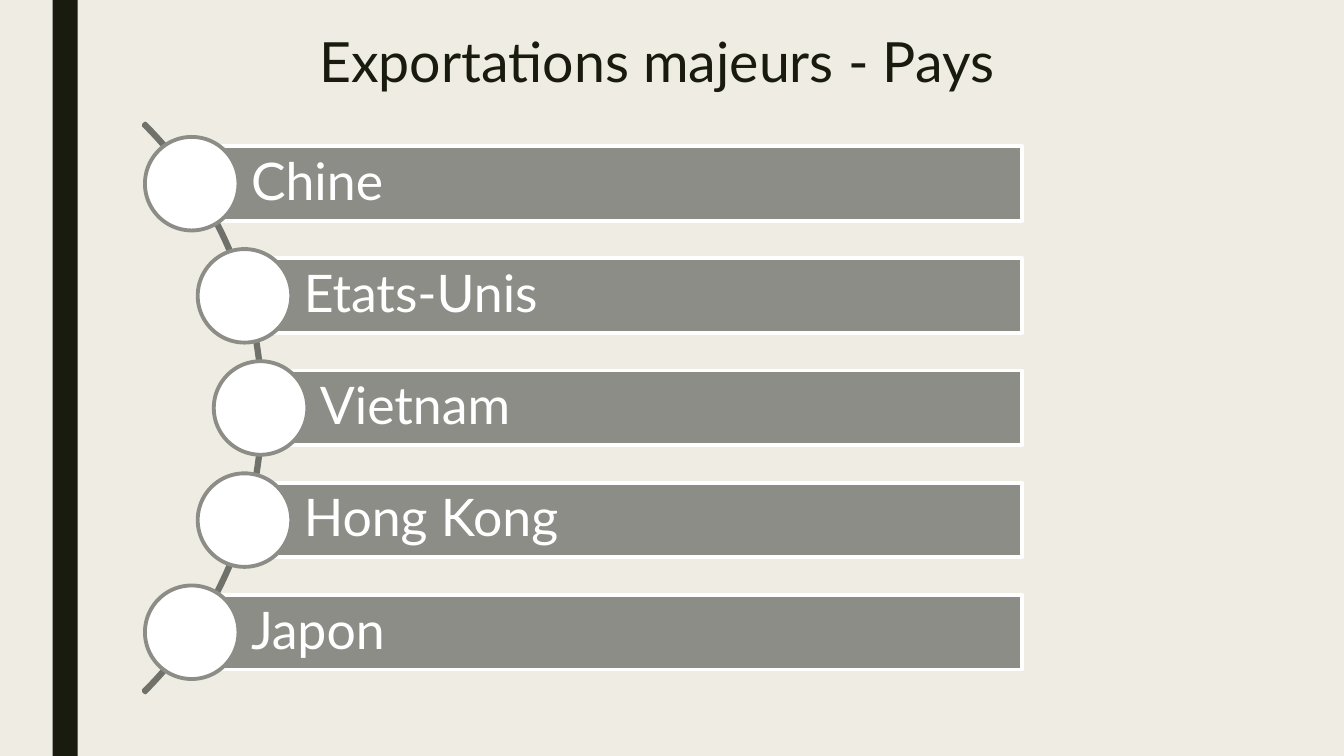
import math

import pptx
import pptx.dml.color
import pptx.enum.shapes
import pptx.enum.text
import pptx.util

Pt = pptx.util.Pt
RGBColor = pptx.dml.color.RGBColor
SHAPE = pptx.enum.shapes.MSO_SHAPE
ANCHOR = pptx.enum.text.MSO_ANCHOR
ALIGN = pptx.enum.text.PP_ALIGN

TITLE = "Exportations majeurs - Pays"
COUNTRIES = ["Chine", "Etats-Unis", "Vietnam", "Hong Kong", "Japon"]

FONT = "Lato"
CREAM = RGBColor(0xEF, 0xED, 0xE3)
DARK = RGBColor(0x19, 0x1B, 0x0E)
ARC_GREY = RGBColor(0x70, 0x71, 0x6B)
BAR_GREY = RGBColor(0x8C, 0x8D, 0x86)
WHITE = RGBColor(0xFF, 0xFF, 0xFF)

PAGE_WIDTH, PAGE_HEIGHT = 960, 540
LINE_WIDTH = 2.75
ARC_X, ARC_Y = -99.4, 291.4  # centre of the arc
ARC_SIZE = 574.6
ORBIT = 285.5  # distance from the arc centre to the middle circle
ROW_PITCH = 80.1
BAR_HEIGHT = 53.4
BAR_RIGHT = 730
CIRCLE_SIZE = 66.8


def add_shape(page, kind, left, top, width, height, fill=None, line=None):
    shape = page.shapes.add_shape(kind, Pt(left), Pt(top), Pt(width), Pt(height))
    shape.shadow.inherit = False
    if fill is None:
        shape.fill.background()
    else:
        shape.fill.solid()
        shape.fill.fore_color.rgb = fill
    if line is None:
        shape.line.fill.background()
    else:
        shape.line.color.rgb = line
        shape.line.width = Pt(LINE_WIDTH)
    return shape


def write(frame, text, size, color, spacing):
    frame.word_wrap = True
    para = frame.paragraphs[0]
    para.text = text
    para.alignment = ALIGN.LEFT
    para.line_spacing = spacing
    para.font.name = FONT
    para.font.size = Pt(size)
    para.font.color.rgb = color


def add_country(page, row, country):
    offset = (row - (len(COUNTRIES) - 1) / 2) * ROW_PITCH
    x = ARC_X + math.sqrt(ORBIT ** 2 - offset ** 2)
    y = ARC_Y + offset

    bar = add_shape(page, SHAPE.RECTANGLE, x, y - BAR_HEIGHT / 2,
                    BAR_RIGHT - x, BAR_HEIGHT, BAR_GREY, WHITE)
    frame = bar.text_frame
    frame.vertical_anchor = ANCHOR.MIDDLE
    frame.margin_left = Pt(42.4)
    frame.margin_top = frame.margin_right = frame.margin_bottom = Pt(7.2)
    write(frame, country, 37, WHITE, 0.9)

    add_shape(page, SHAPE.OVAL, x - CIRCLE_SIZE / 2, y - CIRCLE_SIZE / 2,
              CIRCLE_SIZE, CIRCLE_SIZE, WHITE, BAR_GREY)


def main():
    deck = pptx.Presentation()
    deck.slide_width, deck.slide_height = Pt(PAGE_WIDTH), Pt(PAGE_HEIGHT)
    page = deck.slides.add_slide(deck.slide_layouts[6])
    page.background.fill.solid()
    page.background.fill.fore_color.rgb = CREAM

    add_shape(page, SHAPE.RECTANGLE, 37.5, 0, 18, PAGE_HEIGHT, DARK)

    title = page.shapes.add_textbox(Pt(221), Pt(21.6), Pt(517.7), Pt(45.4))
    write(title.text_frame, TITLE, 39.6, DARK, 0.89)

    arc = add_shape(page, SHAPE.BLOCK_ARC, ARC_X - ARC_SIZE / 2,
                    ARC_Y - ARC_SIZE / 2, ARC_SIZE, ARC_SIZE, line=ARC_GREY)
    # Start angle, end angle (units of 5/3 degree) and thickness
    for index, value in enumerate((189, 27, 0.003)):
        arc.adjustments[index] = value

    for row, country in enumerate(COUNTRIES):
        add_country(page, row, country)

    deck.save("out.pptx")


if __name__ == "__main__":
    main()
